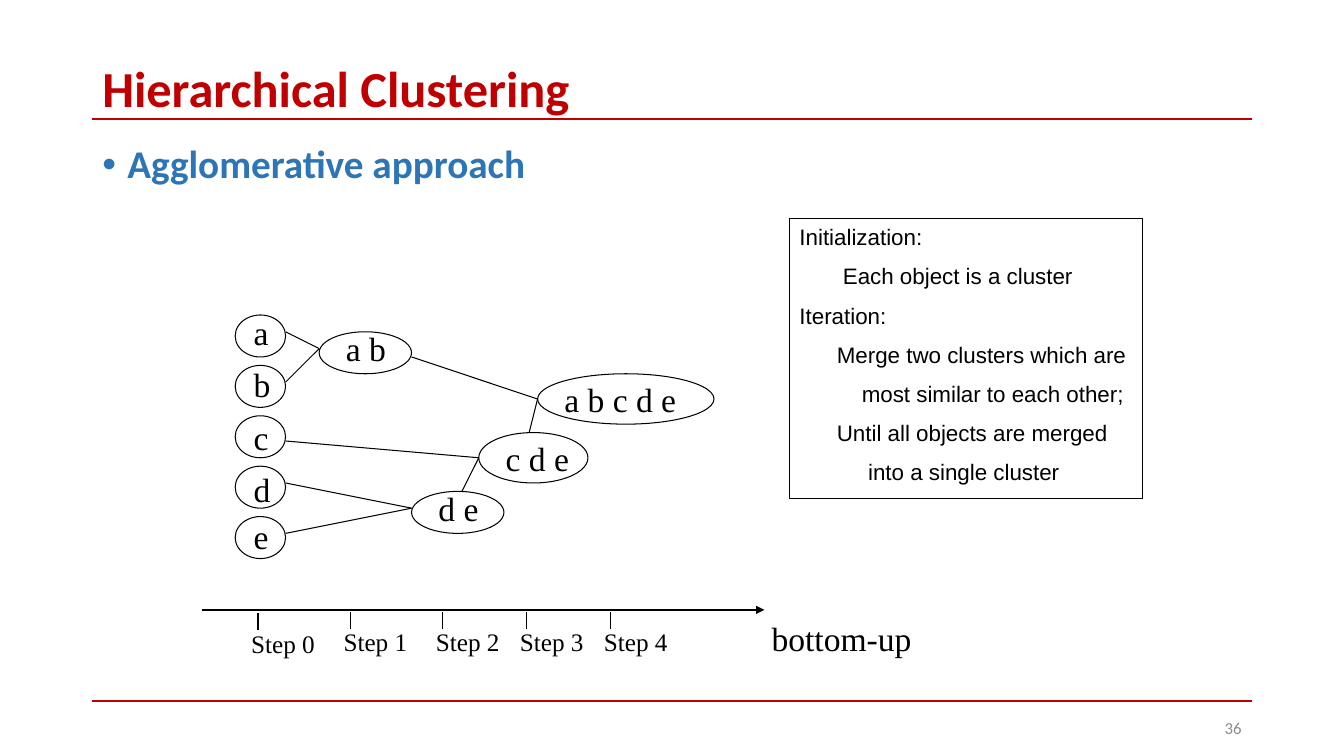
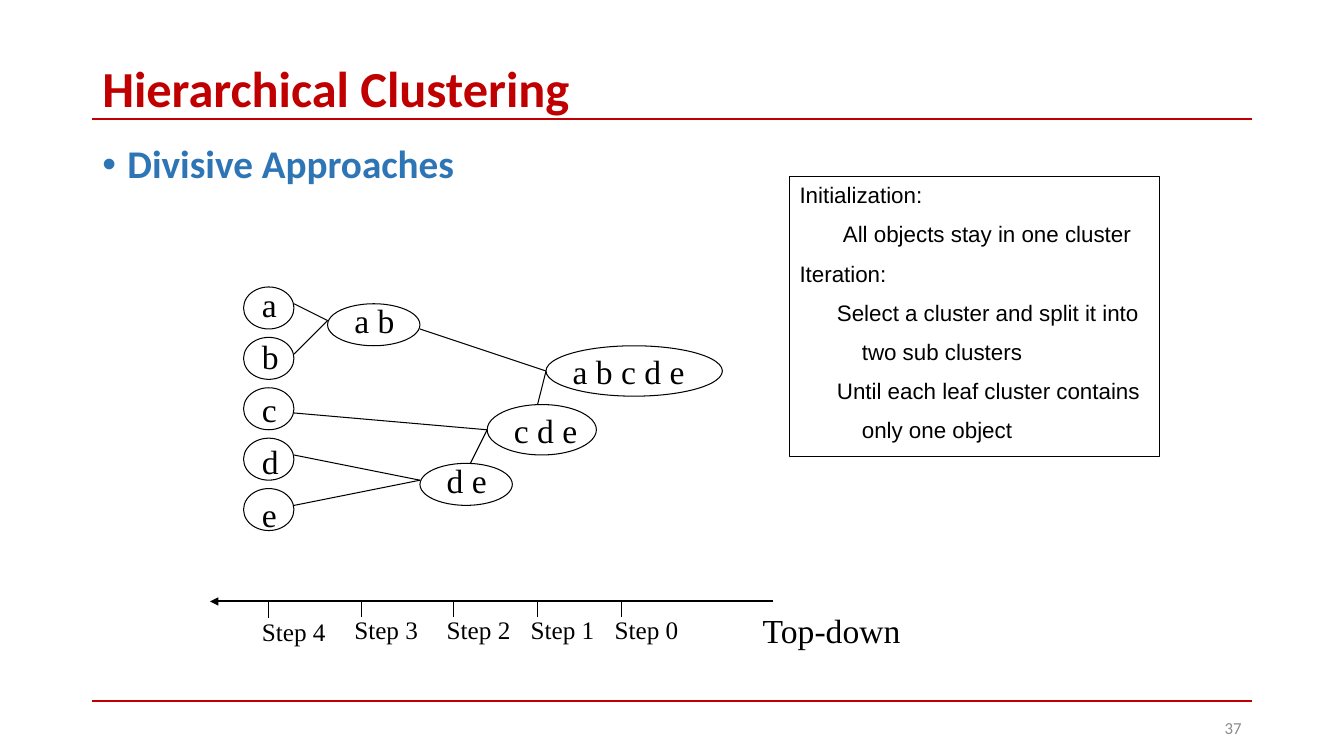
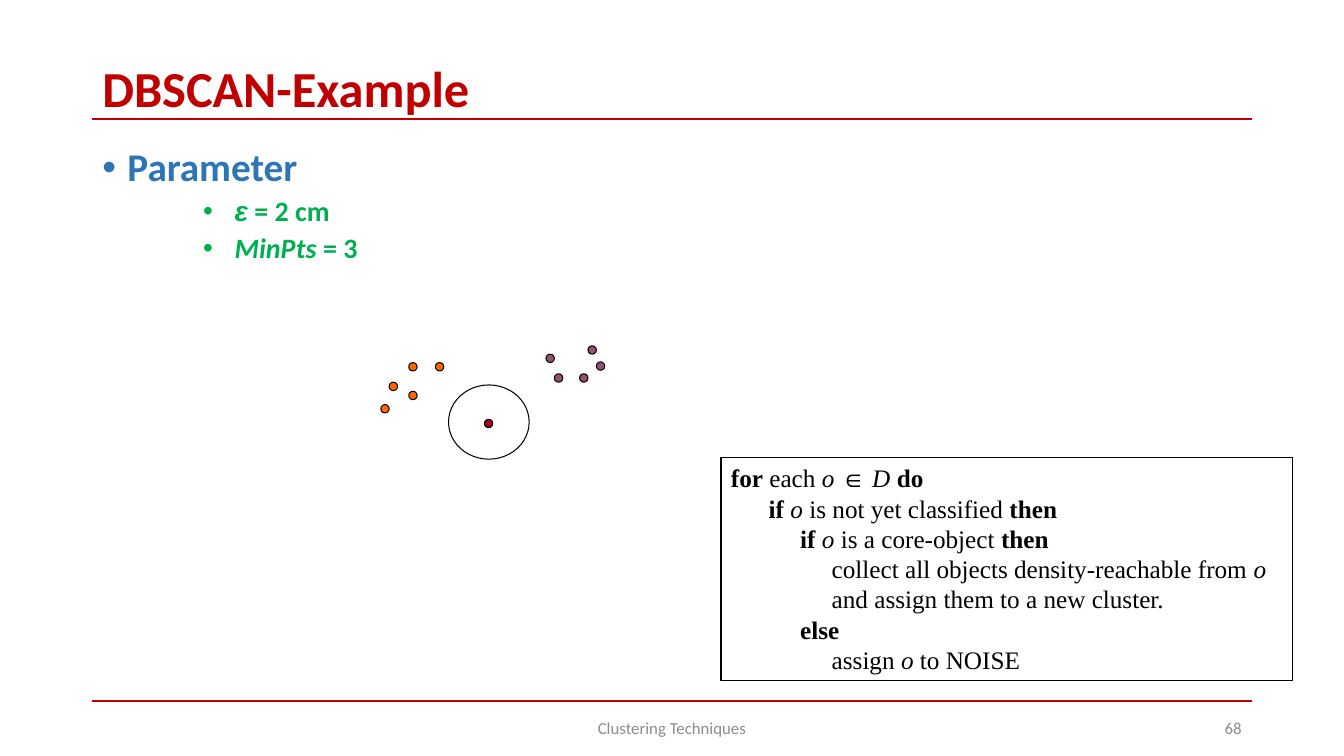
"""Builds three slides on hierarchical clustering and DBSCAN."""
from lxml.etree import SubElement
from pptx import Presentation
from pptx.dml.color import RGBColor
from pptx.enum.shapes import MSO_CONNECTOR, MSO_SHAPE
from pptx.enum.text import MSO_ANCHOR, PP_ALIGN
from pptx.oxml.ns import qn
from pptx.util import Pt

RED = RGBColor(0xC0, 0x00, 0x00)
BLUE = RGBColor(0x2E, 0x75, 0xB6)
GREEN = RGBColor(0x00, 0xB0, 0x50)
GRAY = RGBColor(0x8C, 0x8C, 0x8C)
BLACK = RGBColor(0x00, 0x00, 0x00)
ORANGE = RGBColor(0xFF, 0x66, 0x00)
VIOLET = RGBColor(0x95, 0x4F, 0x72)
CRIMSON = RGBColor(0xA5, 0x00, 0x21)

PLAIN = dict(font="Times New Roman", size=24, color=BLACK, bold=False, italic=False,
             align=PP_ALIGN.LEFT, indent=0, hanging=0, bullet=None, before=0, spacing=None)
TITLE = dict(font="Calibri", size=36, color=RED, bold=True, spacing=0.9)
HEADING = dict(font="Calibri", size=28, color=BLUE, bold=True, spacing=0.9,
               bullet="•", indent=18, hanging=18)
SUBPOINT = dict(size=20, color=GREEN, indent=94.5, hanging=22.5, before=5)
FOOTER = dict(font="Calibri", size=12, color=GRAY)
BOLD = dict(bold=True)
ITALIC = dict(italic=True)


def add_text(page, frame, lines, anchor=MSO_ANCHOR.TOP, wrap=True, border=False, **style):
    box = page.shapes.add_textbox(*map(Pt, frame))
    if border:
        box.line.color.rgb = BLACK
        box.line.width = Pt(0.75)
    text = box.text_frame
    text.word_wrap = wrap
    text.vertical_anchor = anchor
    for index, (spans, line_style) in enumerate(lines):
        look = PLAIN | style | line_style
        para = text.add_paragraph() if index else text.paragraphs[0]
        para.alignment = look["align"]
        para.space_before = Pt(look["before"] if index else 0)
        para.line_spacing = look["spacing"]
        properties = para._p.get_or_add_pPr()
        properties.set("marL", str(Pt(look["indent"])))
        properties.set("indent", str(-Pt(look["hanging"])))
        if look["bullet"]:
            SubElement(properties, qn("a:buFont")).set("typeface", "Arial")
            SubElement(properties, qn("a:buChar")).set("char", look["bullet"])
        for words, span_style in [(spans, {})] if isinstance(spans, str) else spans:
            span_look = look | span_style
            span = para.add_run()
            span.text = words
            span.font.name = span_look["font"]
            span.font.size = Pt(span_look["size"])
            span.font.color.rgb = span_look["color"]
            span.font.bold = span_look["bold"]
            span.font.italic = span_look["italic"]


def add_line(page, start, end, color=BLACK, width=0.75, arrow=None):
    line = page.shapes.add_connector(MSO_CONNECTOR.STRAIGHT, *map(Pt, start + end))
    line.line.color.rgb = color
    line.line.width = Pt(width)
    if arrow:
        outline = line.line._get_or_add_ln()
        SubElement(outline, qn(arrow)).set("type", "triangle")
    SubElement(line._element.spPr, qn("a:effectLst"))


deck = Presentation()
deck.slide_width = Pt(960)
deck.slide_height = Pt(540)

pages = []
for title, number, footer in [
    ("Hierarchical Clustering", "36", None),
    ("Hierarchical Clustering", "37", None),
    ("DBSCAN-Example", "68", "Clustering Techniques"),
]:
    page = deck.slides.add_slide(deck.slide_layouts[6])
    pages.append(page)
    for height in (85, 500.5):
        add_line(page, (66, height), (894, height), color=RED, width=1.5)
    add_text(page, (66, 44, 828, 42), [(title, {})], anchor=MSO_ANCHOR.MIDDLE, **TITLE)
    if footer:
        add_text(page, (318, 505, 324, 29), [(footer, {})], anchor=MSO_ANCHOR.MIDDLE,
                 align=PP_ALIGN.CENTER, **FOOTER)
    add_text(page, (678, 505, 216, 29), [(number, {})], anchor=MSO_ANCHOR.MIDDLE,
             align=PP_ALIGN.RIGHT, **FOOTER)

LEAVES = "abcde"
MERGED = [
    ("a b", (60, 12, 66, 30), (72, 6), 43),
    ("d e", (126, 126, 66, 30), (138, 120), 43),
    ("c d e", (174, 84, 78, 36), (186, 84), 60),
    ("a b c d e", (216, 42, 126, 36), (228, 42), 94.5),
]
LINKS = [
    ((36, 12), (60, 24)), ((36, 48), (60, 24)),
    ((36, 120), (126, 138)), ((36, 156), (126, 138)),
    ((36, 90), (174, 102)), ((162, 126), (174, 102)),
    ((126, 30), (216, 60)), ((210, 84), (216, 60)),
]
TICKS = (0, 66, 132, 192, 252)

approaches = [
    dict(heading="Agglomerative approach", origin=(168, 225), last_label=140,
         axis=(144, 435.6), arrow="a:tailEnd", ticks=(184.3, 437), steps=range(5),
         caption="bottom-up", caption_frame=(543.6, 438, 115, 36),
         frame=(564, 156, 252, 200),
         algorithm=[("Initialization:", 0), ("Each object is a cluster", 31),
                    ("Iteration:", 0), ("Merge two clusters which are", 26.7),
                    ("most similar to each other;", 44.5),
                    ("Until all objects are merged", 26.7),
                    ("into a single cluster", 49)]),
    dict(heading="Divisive Approaches", origin=(174, 205), last_label=144,
         axis=(150, 429.6), arrow="a:headEnd", ticks=(192, 428.5), steps=range(4, -1, -1),
         caption="Top-down", caption_frame=(537, 432, 114, 36),
         frame=(564, 126, 264, 200),
         algorithm=[("Initialization:", 0), ("All objects stay in one cluster", 31),
                    ("Iteration:", 0), ("Select a cluster and split it into", 26.7),
                    ("two sub clusters", 44.5),
                    ("Until each leaf cluster contains", 26.7),
                    ("only one object", 44.5)]),
]

ellipses = []
for page, approach in zip(pages, approaches):
    add_text(page, (66, 100, 828, 387), [(approach["heading"], {})], **HEADING)

    left, top = approach["origin"]
    nodes = [(leaf, (0, 36 * row, 36, 30), (6, 37.5 * row - 6), 26)
             for row, leaf in enumerate(LEAVES[:-1])]
    nodes.append((LEAVES[-1], (0, 144, 36, 30), (6, approach["last_label"]), 26))
    for label, (x, y, width, height), (label_x, label_y), label_width in nodes + MERGED:
        ellipses.append((page, (left + x, top + y, width, height), None))
        add_text(page, (left + label_x, top + label_y, label_width, 36),
                 [(label, {})], wrap=False)
    for (x1, y1), (x2, y2) in LINKS:
        add_line(page, (left + x1, top + y1), (left + x2, top + y2))

    axis_left, axis_top = approach["axis"]
    add_line(page, (axis_left, axis_top), (axis_left + 402, axis_top),
             width=1.5, arrow=approach["arrow"])
    tick_left, tick_top = approach["ticks"]
    for offset, step in zip(TICKS, approach["steps"]):
        x = tick_left + offset
        y = tick_top if offset else tick_top + 1
        add_line(page, (x, y), (x, y + 12))
        add_text(page, (x - 12, y + 7, 60, 29), [(f"Step {step}", {})], size=18)
    add_text(page, approach["caption_frame"], [(approach["caption"], {})],
             wrap=False, align=PP_ALIGN.CENTER)
    add_text(page, approach["frame"],
             [(line, dict(indent=indent)) for line, indent in approach["algorithm"]],
             border=True, font="Arial", size=16, before=8.8)

page = pages[2]
add_text(page, (66, 102, 252, 114), [
    ("Parameter", {}),
    ([("ε", dict(font="Arial", italic=True)), (" = 2 cm", {})], SUBPOINT),
    ([("MinPts", ITALIC), (" = 3", {})], SUBPOINT),
], **HEADING)

add_text(page, (515, 327, 408, 159), [
    ([("for", BOLD), (" each ", {}), ("o ", ITALIC), ("∈", dict(font="Arial")),
      (" D ", ITALIC), ("do", BOLD)], {}),
    ([("if ", BOLD), ("o", ITALIC), (" is not yet classified ", {}), ("then", BOLD)],
     dict(indent=27)),
    ([("if ", BOLD), ("o", ITALIC), (" is a core-object ", {}), ("then", BOLD)],
     dict(indent=49.5)),
    ([("collect all objects density-reachable from ", {}), ("o", ITALIC)], dict(indent=72)),
    ("and assign them to a new cluster.", dict(indent=72)),
    ("else", dict(indent=49.5, bold=True)),
    ([("assign ", {}), ("o", ITALIC), (" to NOISE", {})], dict(indent=72)),
], border=True, size=18, spacing=Pt(21.6))

clusters = [
    (ORANGE, [(272, 289), (292, 259), (311, 259), (278, 273), (292, 279.5)]),
    (VIOLET, [(396, 267), (390, 253), (414, 267), (426, 258.5), (420, 247)]),
    (CRIMSON, [(346, 299.5)]),
]
ellipses.append((page, (320.4, 275, 57.6, 53), None))
for color, points in clusters:
    ellipses += [(page, (x, y, 6, 6), color) for x, y in points]

for page, frame, color in ellipses:
    ellipse = page.shapes.add_shape(MSO_SHAPE.OVAL, *map(Pt, frame))
    ellipse.shadow.inherit = False
    ellipse.line.color.rgb = BLACK
    ellipse.line.width = Pt(0.75)
    if color:
        ellipse.fill.solid()
        ellipse.fill.fore_color.rgb = color
    else:
        ellipse.fill.background()

deck.save("out.pptx")
